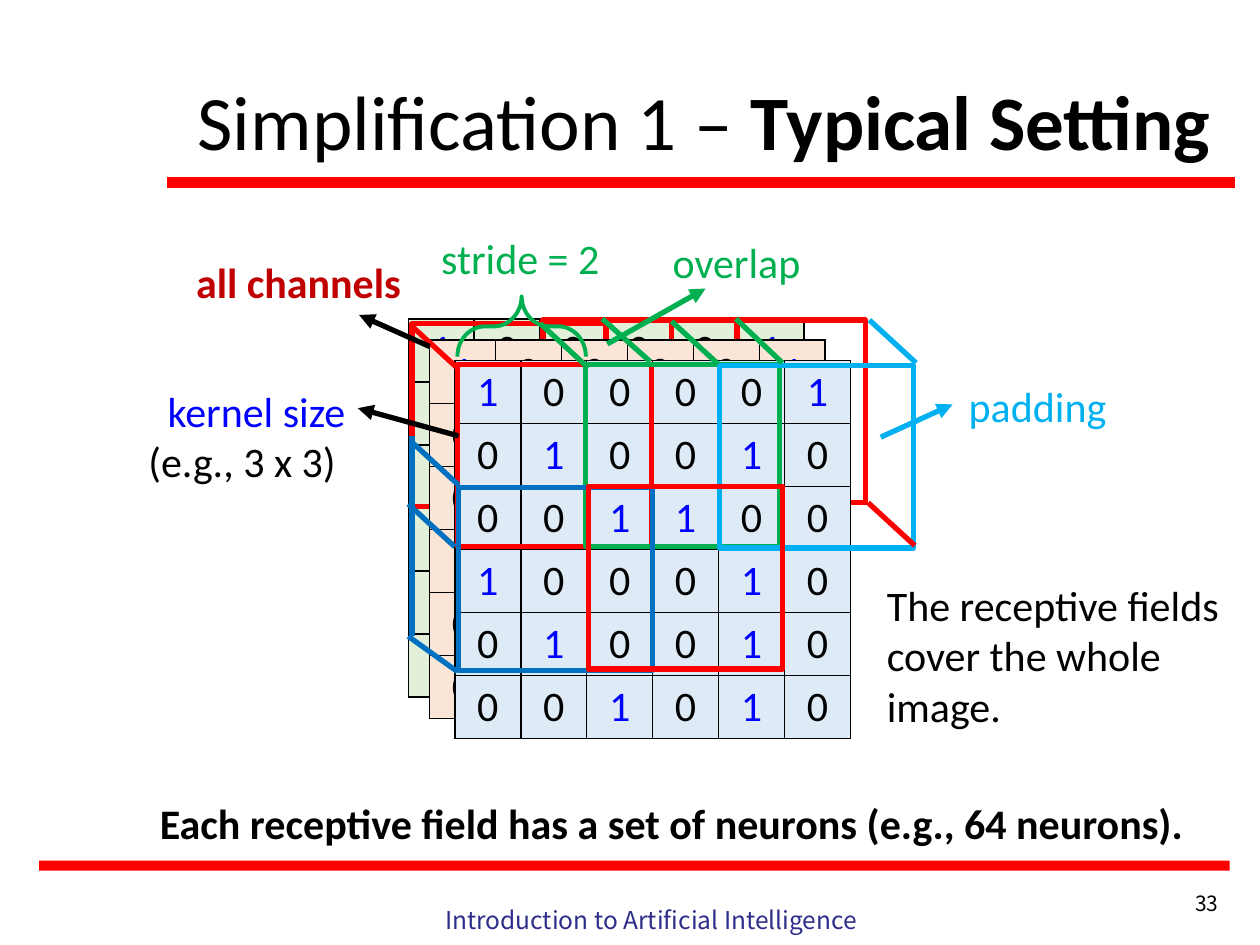
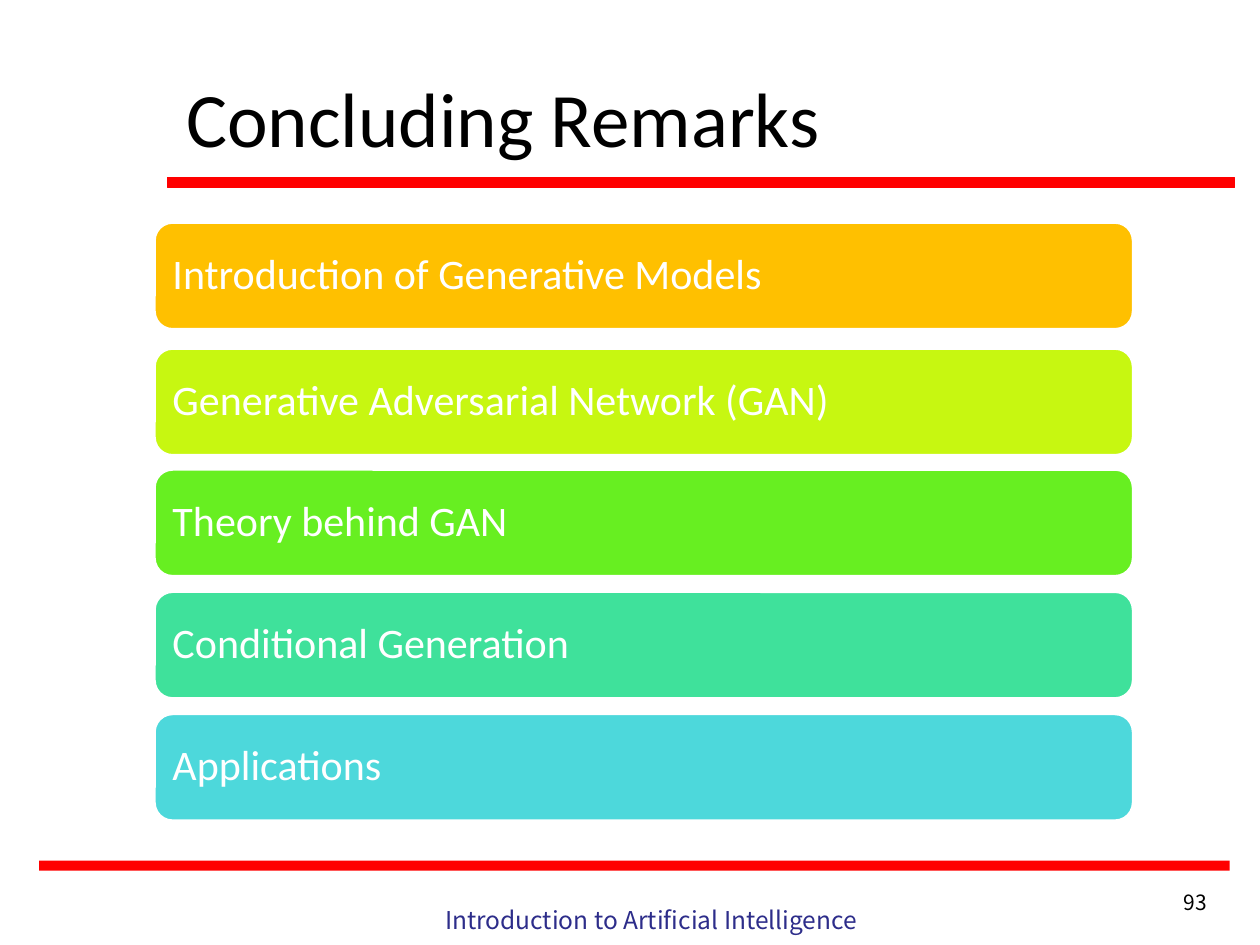
from dataclasses import dataclass
from lxml.etree import SubElement as Sub
from pptx import Presentation
from pptx.dml.color import RGBColor as RGB
from pptx.enum.shapes import MSO_CONNECTOR as Link, MSO_SHAPE as Form
from pptx.enum.text import MSO_ANCHOR as Anchor, PP_ALIGN as Align
from pptx.oxml.ns import qn
from pptx.util import Inches, Pt


@dataclass(frozen=True)
class Theme:
    font: str = "Calibri"
    foot_font: str = "Noto Sans CJK SC"
    head: int = 44
    body: int = 24
    foot: int = 14
    page: int = 12
    black: str = "000000"
    white: str = "FFFFFF"
    red: str = "FF0000"
    dark_red: str = "C00000"
    green: str = "00B050"
    blue: str = "0070C0"
    sky: str = "00B0F0"
    one: str = "0000FF"
    navy: str = "2D2D8A"


T = Theme()
L, C, R = Align.LEFT, Align.CENTER, Align.RIGHT

# Shared bands and footer: place, edge width
BANDS = [((0.31, 6.83, 9.45, 0.08), 0), ((1.33, 1.41, 8.47, 0.08), 0.75)]
FOOTER = "Introduction to Artificial Intelligence"

# Slide 1: runs are (text, colour, bold)
SETTING = dict(title=[("Simplification 1 – ", T.black, False),
                      ("Typical Setting", T.black, True)],
               at=(1.47, 0.27), page="33", page_at=(8.67, 7.02))
GRID = ["100001", "010010", "001100", "100010", "010010", "001010"]
CELL_W, CELL_H = 3.14 / 6, 0.5
BACK = (3.24, 2.53, "E2F0D9")
FRONT = [(3.41, 2.7, "FBE5D6"), (3.61, 2.86, "DEEBF7")]

# Receptive fields: left, top, colour
FIELD = (1.54, 1.45)
BACK_FIELDS = [(5.33, 2.54, T.red), (4.31, 2.54, T.red), (3.27, 2.57, T.red)]
FRONT_FIELDS = [(3.63, 2.89, T.red), (4.65, 2.89, T.green),
                (3.64, 3.87, T.blue), (5.71, 2.9, T.sky)]
TOP_FIELD = (4.67, 3.86, T.red)

# Lines: x1, y1, x2, y2, colour
EDGES = [
    (3.24, 4, 3.61, 4.34, T.blue), (3.27, 2.59, 3.64, 2.93, T.red),
    (4.78, 2.53, 5.16, 2.87, T.green), (5.84, 2.53, 6.21, 2.88, T.green),
    (4.29, 2.57, 4.67, 2.92, T.green), (6.9, 2.54, 7.27, 2.88, T.sky),
    (6.89, 3.99, 7.26, 4.33, T.red), (3.27, 3.51, 3.64, 3.85, T.blue),
    (3.24, 5.05, 3.63, 5.33, T.blue), (3.27, 3.46, 3.27, 5.05, T.blue),
    (5.33, 2.55, 5.7, 2.89, T.green),
]
ARROWS = [
    (3.64, 3.46, 2.84, 3.24, T.black), (3.41, 2.75, 2.85, 2.5, T.black),
    (6.99, 3.47, 7.56, 3.21, T.sky), (4.82, 2.73, 5.6, 2.29, T.green),
]
BRACE = (3.9, 2.08, 0.48, 1.02)

# Labels: place, alignment, runs
LABELS = [
    ((1.37, 1.99, 2, 0.5), C, [("all channels", T.dark_red, True)]),
    ((1.16, 6.28, 8.34, 0.5), C,
     [("Each receptive field has a set of neurons (e.g., 64 neurons).", T.black, True)]),
    ((3.13, 1.8, 2, 0.5), C, [("stride = 2", T.green, False)]),
    ((0.67, 3.01, 2.17, 0.91), R,
     [("kernel size ", T.one, False), ("(e.g., 3 x 3) ", T.black, False)]),
    ((7.59, 2.97, 1.64, 0.5), L, [("padding", T.sky, False)]),
    ((6.94, 4.55, 3, 1.31), L,
     [("The receptive fields cover the whole image.", T.black, False)]),
    ((5.24, 1.83, 1.64, 0.5), L, [("overlap", T.green, False)]),
]

# Slide 2: top, text, colour
REMARKS = dict(title=[("Concluding Remarks", T.black, False)],
               at=(1.38, 0.25), page="93", page_at=(8.58, 7.01))
TOPICS = [
    (1.77, "Introduction of Generative Models", "FFC000"),
    (2.77, "Generative Adversarial Network (GAN)", "C7F711"),
    (3.73, "Theory behind GAN", "67EF21"),
    (4.7, "Conditional Generation", "3FE19B"),
    (5.67, "Applications", "4DD8DB"),
]


def rgb(code):
    return RGB.from_string(code)


def inch(*sizes):
    return [Inches(size) for size in sizes]


def write(frame, runs, size, align=L, font=T.font):
    """Fill the first paragraph; set on runs only what differs."""
    para = frame.paragraphs[0]
    para.alignment = align
    para.font.size, para.font.name = Pt(size), font
    same = len({run[1:] for run in runs}) == 1
    for words, color, bold in runs:
        run = para.add_run()
        run.text = words
        face = para.font if same else run.font
        face.color.rgb, face.bold = rgb(color), bold
    return para


def add_text(slide, place, runs, size=T.body, align=L, font=T.font):
    frame = slide.shapes.add_textbox(*inch(*place)).text_frame
    frame.word_wrap = True
    write(frame, runs, size, align, font)
    return frame


def add_form(slide, form, place, fill=None, edge=None, width=3):
    shape = slide.shapes.add_shape(form, *inch(*place))
    shape.shadow.inherit = False
    if fill:
        shape.fill.solid()
        shape.fill.fore_color.rgb = rgb(fill)
    else:
        shape.fill.background()
    if edge and width:
        shape.line.color.rgb = rgb(edge)
        shape.line.width = Pt(width)
    else:
        shape.line.fill.background()
    return shape


def add_field(slide, left, top, color):
    add_form(slide, Form.RECTANGLE, (left, top, *FIELD), edge=color)


def add_line(slide, x1, y1, x2, y2, color, arrow=False):
    line = slide.shapes.add_connector(Link.STRAIGHT, *inch(x1, y1, x2, y2))
    line.line.color.rgb = rgb(color)
    line.line.width = Pt(3)
    if arrow:
        Sub(line.line._get_or_add_ln(), qn("a:tailEnd"), type="triangle")
    Sub(line._element.spPr, qn("a:effectLst"))


def add_grid(slide, left, top, color):
    rows, cols = len(GRID), len(GRID[0])
    place = inch(left, top, CELL_W * cols, CELL_H * rows)
    table = slide.shapes.add_table(rows, cols, *place).table
    table.first_row = table.horz_banding = False
    for y, digits in enumerate(GRID):
        for x, digit in enumerate(digits):
            cell = table.cell(y, x)
            props = cell._tc.get_or_add_tcPr()
            for side in "LRTB":
                edge = Sub(props, qn("a:ln" + side), w=str(Pt(1)))
                Sub(Sub(edge, qn("a:solidFill")), qn("a:srgbClr"), val=T.black)
            cell.fill.solid()
            cell.fill.fore_color.rgb = rgb(color)
            ink = T.one if digit == "1" else T.black
            write(cell.text_frame, [(digit, ink, False)], T.body, C)


def add_slide(deck, title, at, page, page_at):
    """Blank slide with bands, footer, page number and title."""
    slide = deck.slides.add_slide(deck.slide_layouts[6])
    for place, width in BANDS:
        add_form(slide, Form.RECTANGLE, place, T.red, T.red, width)
    add_text(slide, (3.04, 7.13, 4.26, 0.52), [(FOOTER, T.navy, False)],
             T.foot, C, T.foot_font)
    add_text(slide, (*page_at, 1.1, 0.24), [(page, T.black, False)],
             T.page, R, T.foot_font)
    frame = add_text(slide, (*at, 8.62, 1.45), title, T.head)
    frame.vertical_anchor = Anchor.MIDDLE
    frame.paragraphs[0].line_spacing = 0.9
    return slide


def draw_setting(deck):
    slide = add_slide(deck, **SETTING)
    # Stacked channels and their fields
    add_grid(slide, *BACK)
    for field in BACK_FIELDS:
        add_field(slide, *field)
    for grid in FRONT:
        add_grid(slide, *grid)
    for field in FRONT_FIELDS:
        add_field(slide, *field)
    # Depth edges, arrows and stride brace
    for edge in EDGES:
        add_line(slide, *edge)
    add_field(slide, *TOP_FIELD)
    for arrow in ARROWS:
        add_line(slide, *arrow, arrow=True)
    brace = add_form(slide, Form.RIGHT_BRACE, BRACE, edge=T.green, width=2.25)
    brace.rotation = 270
    brace.adjustments[0] = 0.456
    # Labels
    for place, align, runs in LABELS:
        add_text(slide, place, runs, align=align)


def draw_remarks(deck):
    slide = add_slide(deck, **REMARKS)
    for top, words, color in TOPICS:
        bar = add_form(slide, Form.ROUNDED_RECTANGLE, (1.23, top, 7.76, 0.84),
                       color, T.white, 1)
        frame = bar.text_frame
        frame.word_wrap = True
        frame.vertical_anchor = Anchor.MIDDLE
        frame.margin_left = frame.margin_right = Inches(0.1)
        para = write(frame, [(words, T.white, False)], T.body)
        para.line_spacing = 0.9


def main():
    deck = Presentation()
    deck.slide_width, deck.slide_height = inch(10, 7.5)
    draw_setting(deck)
    draw_remarks(deck)
    deck.save("out.pptx")


if __name__ == "__main__":
    main()
